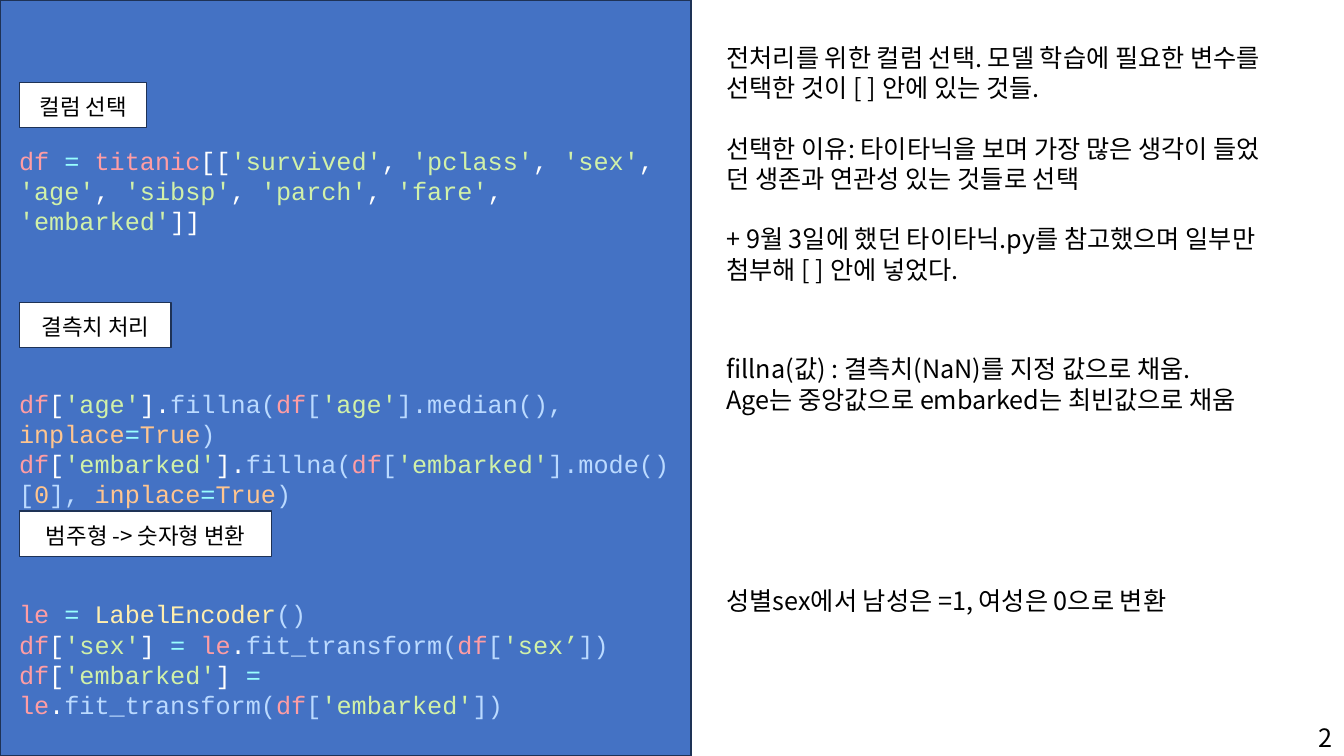
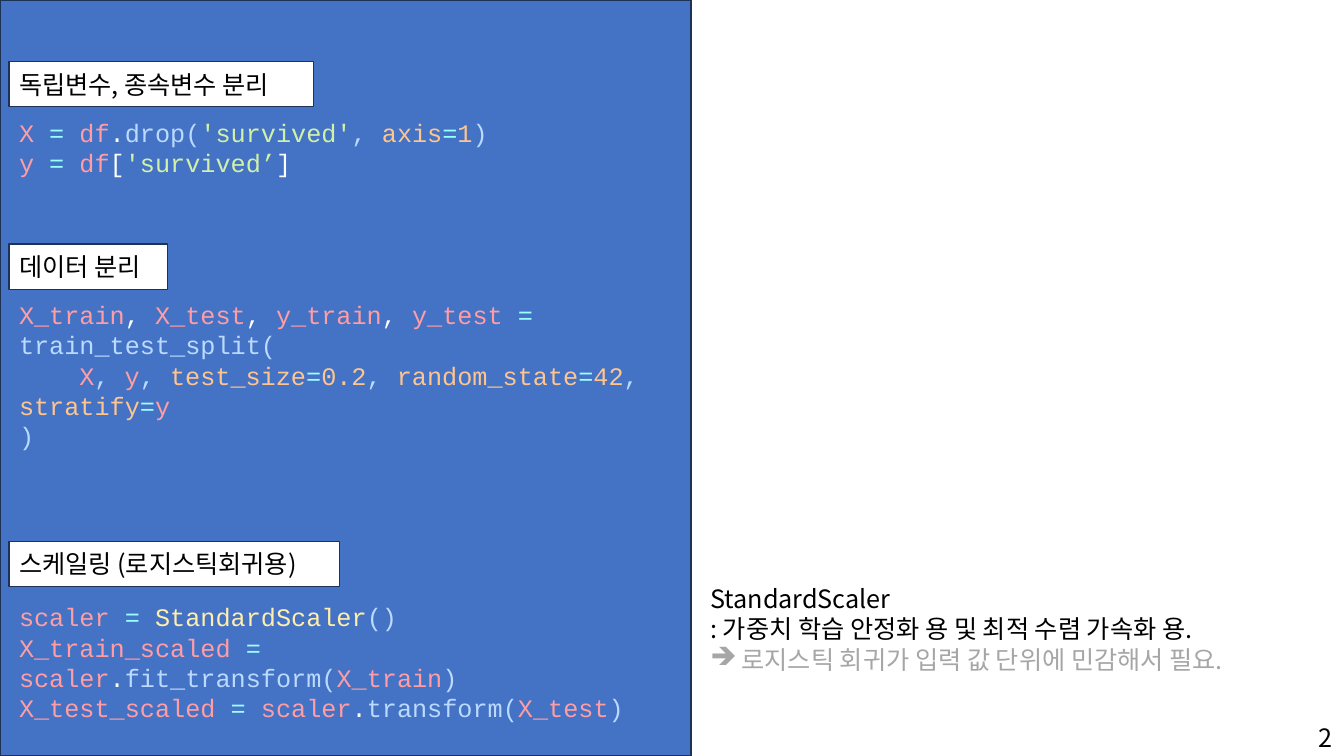
from dataclasses import dataclass

from lxml import etree
from pptx import Presentation
from pptx.dml.color import RGBColor
from pptx.enum.shapes import MSO_SHAPE
from pptx.enum.text import MSO_ANCHOR, PP_ALIGN
from pptx.oxml.ns import qn
from pptx.util import Cm, Pt

RECT = MSO_SHAPE.RECTANGLE
MIDDLE = MSO_ANCHOR.MIDDLE
LEFT, CENTER = PP_ALIGN.LEFT, PP_ALIGN.CENTER


@dataclass(frozen=True)
class Theme:
    panel: str = "4472C4"
    outline: str = "1E3256"
    white: str = "FFFFFF"
    text: str = "000000"
    muted: str = "A6A6A6"
    text_font: str = "Noto Sans CJK KR"
    code_font: str = "Courier New"
    body: float = 18
    small: float = 16
    line_pitch: float = 21.6


T = Theme()

# Code tokens are written "role:text" and separated by "|"
SYNTAX = {
    "v": "FF9DA4",  # variable
    "o": "99FFFF",  # operator
    "s": "D1F1A9",  # string
    "f": "BBDAFF",  # function and its brackets
    "k": "FFC58F",  # keyword argument or constant
    "c": "FFEEAD",  # class
    "p": T.white,   # punctuation
}


@dataclass(frozen=True)
class Label:
    text: str
    top: float
    width: float


@dataclass(frozen=True)
class Code:
    top: float
    lines: tuple[str, ...]


@dataclass(frozen=True)
class Note:
    left: float
    top: float
    width: float
    groups: tuple[tuple[str, ...], ...]
    bullet: str = ""


@dataclass(frozen=True)
class Page:
    label_left: float
    label_size: float
    label_align: PP_ALIGN
    labels: tuple[Label, ...]
    codes: tuple[Code, ...]
    notes: tuple[Note, ...]


PAGES = (
    Page(
        0.5, T.small, CENTER,
        (Label("컬럼 선택", 2.08, 3.2),
         Label("결측치 처리", 7.62, 3.81),
         Label("범주형 -> 숫자형 변환", 12.88, 6.35)),
        (Code(3.53, (
            "v:df |o:= |v:titanic|p:[[|s:'survived'|p:, |s:'pclass'|p:, |s:'sex'|p:, |s:'age'|p:, "
            "|s:'sibsp'|p:, |s:'parch'|p:, |s:'fare'|p:, |s:'embarked'|p:]]",)),
         Code(9.65, (
             "v:df|p:[|s:'age'|p:].|f:fillna(|v:df|f:[|s:'age'|f:].median(), "
             "|k:inplace|o:=|k:True|f:)",
             "v:df|p:[|s:'embarked'|p:].|f:fillna(|v:df|f:[|s:'embarked'|f:].mode()["
             "|k:0|f:], |k:inplace|o:=|k:True|f:)")),
         Code(14.96, (
             "v:le |o:= |c:LabelEncoder|f:()",
             "v:df|p:[|s:'sex'|p:] |o:= |v:le|p:.|f:fit_transform(|v:df|f:[|s:'sex’|f:])",
             "v:df|p:[|s:'embarked'|p:] |o:= |v:le|p:.|f:fit_transform("
             "|v:df|f:[|s:'embarked'|f:])"))),
        (Note(18.06, 0.94, 15.72, (
            ("전처리를 위한 컬럼 선택. 모델 학습에 필요한 변수를",
             "선택한 것이 [ ] 안에 있는 것들."),
            ("선택한 이유: 타이타닉을 보며 가장 많은 생각이 들었",
             "던 생존과 연관성 있는 것들로 선택"),
            ("+ 9월 3일에 했던 타이타닉.py를 참고했으며 일부만",
             "첨부해 [ ] 안에 넣었다."))),
         Note(18.06, 8.79, 14.43, (
             ("fillna(값) : 결측치(NaN)를 지정 값으로 채움.",
              "Age는 중앙값으로 embarked는 최빈값으로 채움"),)),
         Note(18.06, 14.63, 12.83, (("성별sex에서 남성은 =1, 여성은 0으로 변환",),))),
    ),
    Page(
        0.23, T.body, LEFT,
        (Label("독립변수, 종속변수 분리", 1.55, 7.67),
         Label("데이터 분리", 6.15, 3.99),
         Label("스케일링 (로지스틱회귀용)", 13.64, 8.33)),
        (Code(2.82, (
            "v:X |o:= |v:df|p:.|f:drop(|s:'survived'|f:, |k:axis|o:=|k:1|f:)",
            "v:y |o:= |v:df|p:[|s:'survived’|p:]")),
         Code(7.42, (
             "v:X_train|p:, |v:X_test|p:, |v:y_train|p:, |v:y_test |o:= |f:train_test_split(",
             ">v:X|f:, |v:y|f:, |k:test_size|o:=|k:0.2|f:, |k:random_state|o:=|k:42|f:, "
             "|k:stratify|o:=|v:y",
             "f:)")),
         Code(15.04, (
             "v:scaler |o:= |c:StandardScaler|f:()",
             "v:X_train_scaled |o:= |v:scaler|p:.|f:fit_transform(|v:X_train|f:)",
             "v:X_test_scaled |o:= |v:scaler|p:.|f:transform(|v:X_test|f:)"))),
        (Note(17.65, 14.58, 15.09, (
            ("StandardScaler", ": 가중치 학습 안정화 용 및 최적 수렴 가속화 용."),),
            "로지스틱 회귀가 입력 값 단위에 민감해서 필요."),),
    ),
)


def rgb(value: str) -> RGBColor:
    return RGBColor.from_string(value)


def style(p, font: str, size: float, color: str) -> None:
    """Set font, size, colour and line pitch of a whole paragraph."""
    p.font.size = Pt(size)
    p.font.color.rgb = rgb(color)
    p.font.name = font
    p.line_spacing = Pt(T.line_pitch)
    def_rpr = p._p.pPr.find(qn("a:defRPr"))
    etree.SubElement(def_rpr, qn("a:ea")).set("typeface", font)


def next_paragraph(tf):
    """Return the first paragraph while it is empty, otherwise a new one."""
    p = tf.paragraphs[-1]
    return tf.add_paragraph() if p.runs else p


def indent(p, first: float, margin: float = 0) -> None:
    p_pr = p._p.get_or_add_pPr()
    p_pr.set("marL", str(Cm(margin)))
    p_pr.set("indent", str(Cm(first)))


def add_rect(s, left: float, top: float, width: float, height: float, fill: str):
    sp = s.shapes.add_shape(RECT, Cm(left), Cm(top), Cm(width), Cm(height))
    sp.shadow.inherit = False
    sp.fill.solid()
    sp.fill.fore_color.rgb = rgb(fill)
    sp.line.color.rgb = rgb(T.outline)
    sp.line.width = Pt(1)
    return sp


def add_text(s, left: float, top: float, width: float, height: float, wrap: bool):
    tf = s.shapes.add_textbox(Cm(left), Cm(top), Cm(width), Cm(height)).text_frame
    tf.word_wrap = wrap
    return tf


def add_label(s, page: Page, label: Label) -> None:
    sp = add_rect(s, page.label_left, label.top, label.width, 1.14, T.white)
    tf = sp.text_frame
    tf.vertical_anchor = MIDDLE
    p = tf.paragraphs[0]
    p.text = label.text
    p.alignment = page.label_align
    style(p, T.text_font, page.label_size, T.text)


def add_code(s, code: Code) -> None:
    tf = add_text(s, 0.23, code.top, 16.94, 3, True)
    for line in code.lines:
        p = next_paragraph(tf)
        if line.startswith(">"):
            indent(p, 1.52)
        for token in line.removeprefix(">").split("|"):
            role, text = token.split(":", 1)
            r = p.add_run()
            r.text = text
            r.font.color.rgb = rgb(SYNTAX[role])
        style(p, T.code_font, T.body, T.white)


def add_note(s, note: Note) -> None:
    count = sum(len(group) + 1 for group in note.groups)
    tf = add_text(s, note.left, note.top, note.width, 0.25 + 0.76 * count, False)
    for g, group in enumerate(note.groups):
        for i, line in enumerate(group):
            p = next_paragraph(tf)
            p.text = line
            if g and not i:
                p.space_before = Pt(T.line_pitch)
            style(p, T.text_font, T.body, T.text)
    if note.bullet:
        p = tf.add_paragraph()
        p.text = note.bullet
        indent(p, -0.79, 0.79)
        etree.SubElement(p._p.pPr, qn("a:buChar")).set("char", "➔")
        style(p, T.text_font, T.body, T.muted)


def add_page(prs, page: Page) -> None:
    s = prs.slides.add_slide(prs.slide_layouts[6])
    # Code panel
    add_rect(s, 0, 0, 17.42, 19.05, T.panel)
    for code in page.codes:
        add_code(s, code)
    for label in page.labels:
        add_label(s, page, label)
    # Explanations and page number
    for note in page.notes:
        add_note(s, note)
    add_note(s, Note(32.97, 18.08, 0.86, (("2",),)))


def main() -> None:
    prs = Presentation()
    prs.slide_width, prs.slide_height = Cm(33.87), Cm(19.05)
    for page in PAGES:
        add_page(prs, page)
    prs.save("out.pptx")


if __name__ == "__main__":
    main()
